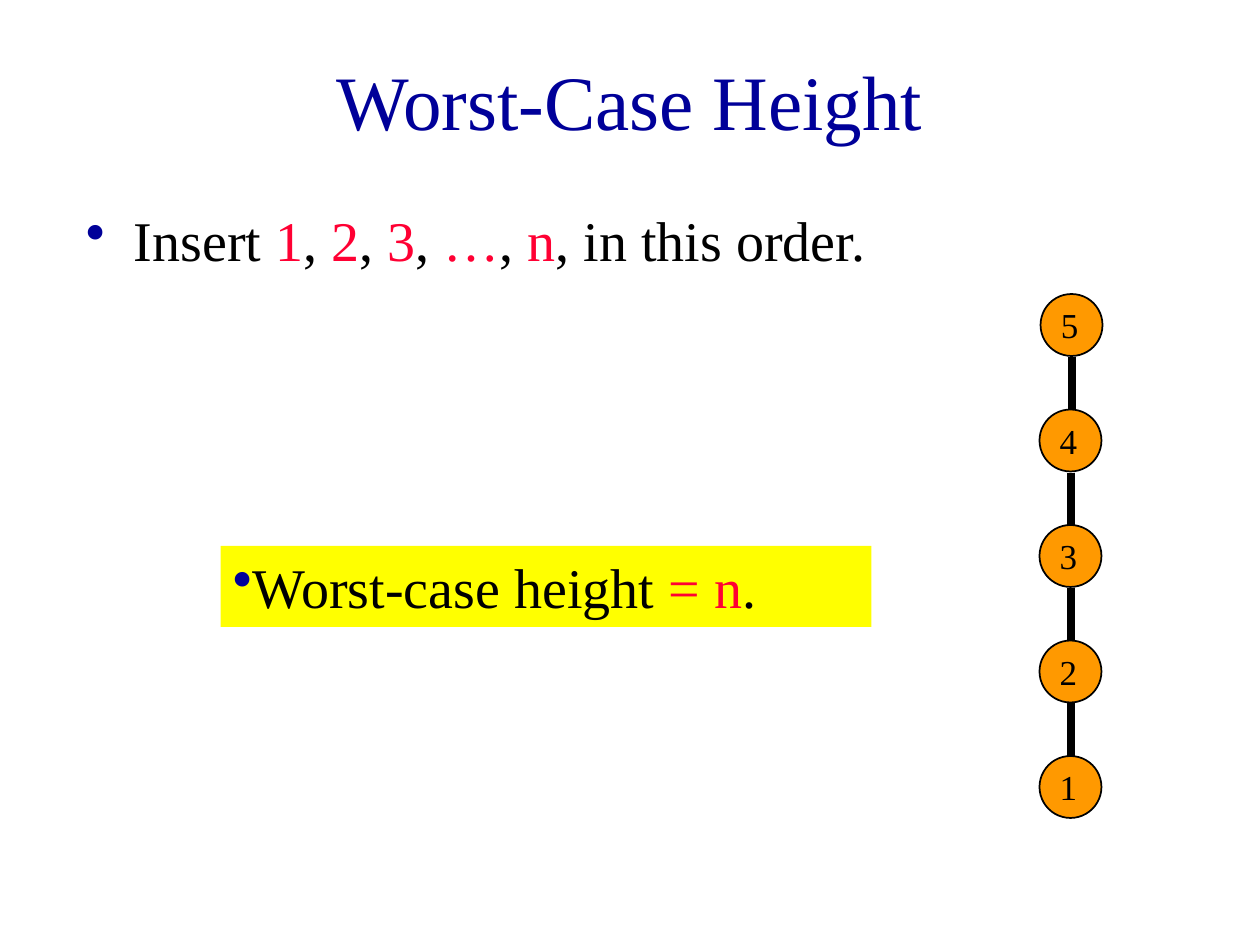
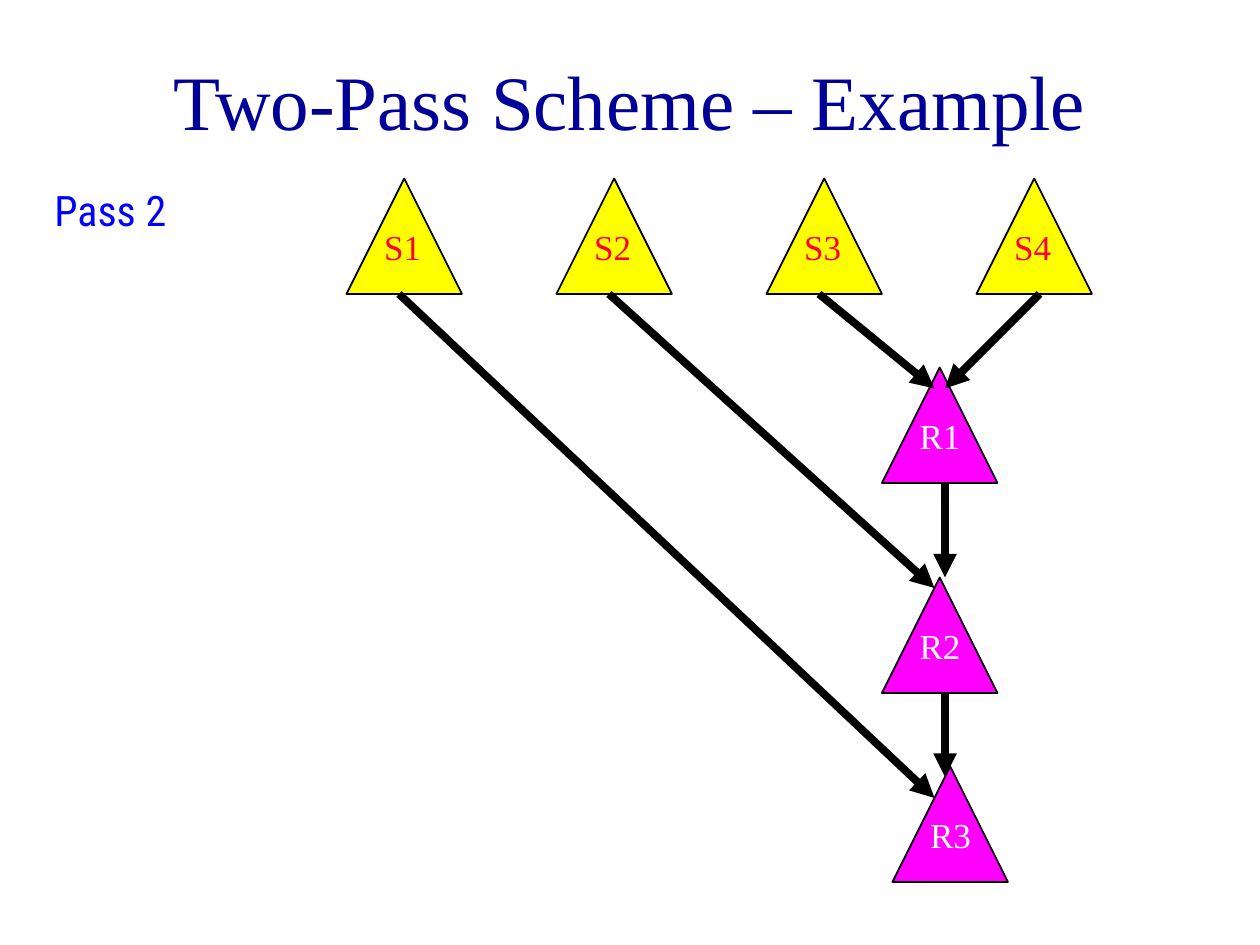
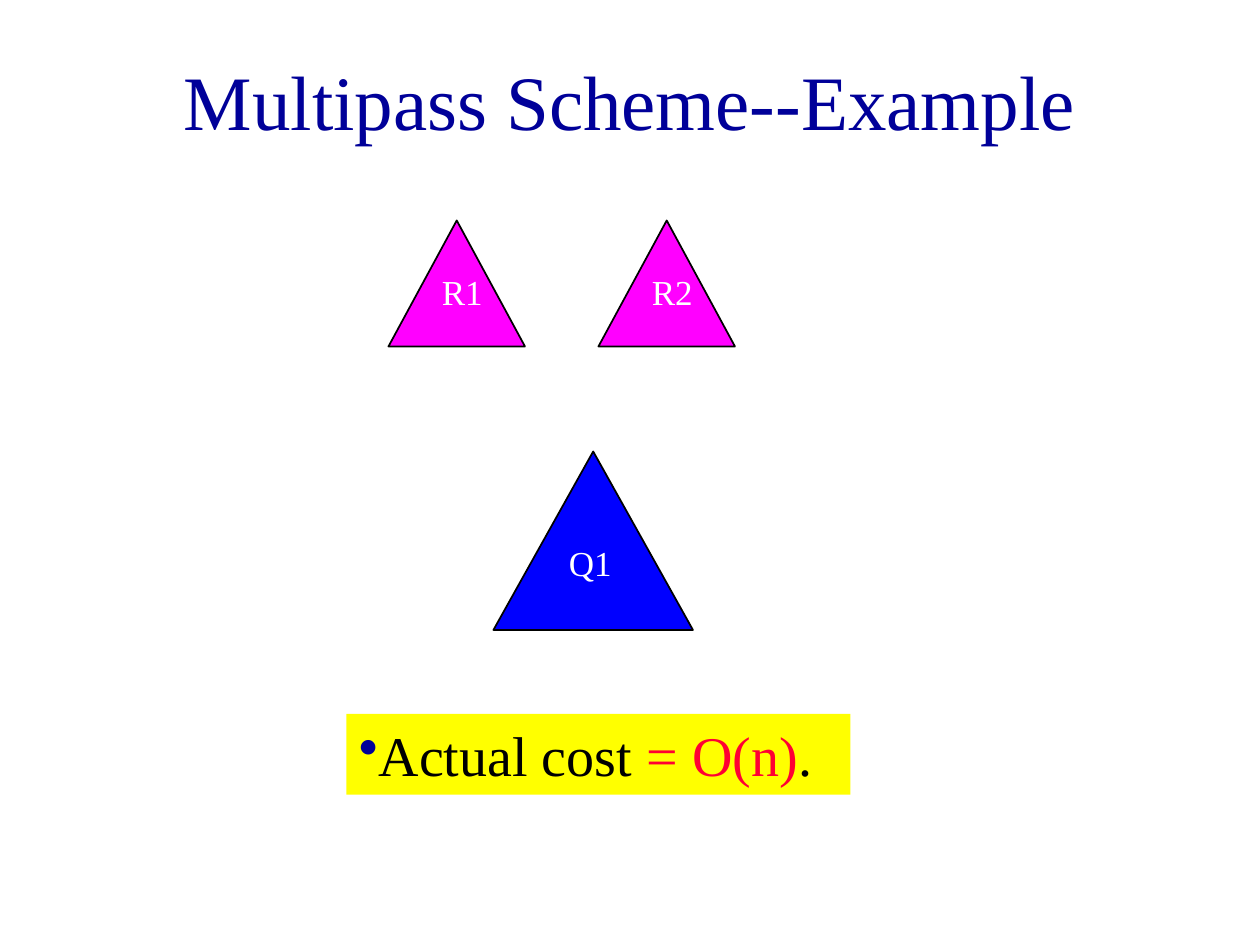
from dataclasses import dataclass

from lxml import etree
from pptx import Presentation
from pptx.dml.color import RGBColor
from pptx.enum.shapes import MSO_CONNECTOR, MSO_SHAPE
from pptx.enum.text import MSO_ANCHOR, MSO_AUTO_SIZE, PP_ALIGN
from pptx.oxml.ns import qn
from pptx.util import Emu, Inches, Pt

TRIANGLE, CIRCLE, BAND = MSO_SHAPE.ISOSCELES_TRIANGLE, MSO_SHAPE.OVAL, MSO_SHAPE.RECTANGLE
STRAIGHT = MSO_CONNECTOR.STRAIGHT
TOP, MIDDLE = MSO_ANCHOR.TOP, MSO_ANCHOR.MIDDLE
LEFT, CENTER = PP_ALIGN.LEFT, PP_ALIGN.CENTER
FIXED = MSO_AUTO_SIZE.NONE

SLIDE_W, SLIDE_H = Inches(10), Inches(7.5)
COLUMNS = 120  # square grid: 120 columns by 90 rows
TITLE_ONLY = 5


@dataclass(frozen=True)
class Theme:
    navy: str = "000099"
    blue: str = "0000FF"
    red: str = "FF0033"
    yellow: str = "FFFF00"
    magenta: str = "FF00FF"
    orange: str = "FF9900"
    black: str = "000000"
    white: str = "FFFFFF"
    serif: str = "Times New Roman"
    condensed: str = "Roboto Condensed"
    title_size: float = 44
    body_size: float = 32
    pass_size: float = 24
    label_size: float = 20
    outline: float = 1
    edge: float = 4.5


THEME = Theme()


@dataclass(frozen=True)
class Box:
    """A rectangle in grid units."""
    column: float
    row: float
    width: float
    height: float

    def inner(self, inset: "Box") -> "Box":
        return Box(self.column + inset.column, self.row + inset.row, inset.width, inset.height)


@dataclass(frozen=True)
class Run:
    text: str
    color: str = THEME.black
    size: float = THEME.body_size
    font: str = THEME.serif


@dataclass(frozen=True)
class Tree:
    """A triangle that stands for a tree, with its label inside."""
    label: str
    box: Box
    label_inset: Box
    fill: str = THEME.magenta
    color: str = THEME.white


@dataclass(frozen=True)
class Edge:
    start: tuple[float, float]
    end: tuple[float, float]
    arrow: bool = True


def grid(units: float) -> Emu:
    return Emu(round(SLIDE_W * units / COLUMNS))


def place(box: Box) -> tuple[Emu, Emu, Emu, Emu]:
    return grid(box.column), grid(box.row), grid(box.width), grid(box.height)


def rgb(color: str) -> RGBColor:
    return RGBColor.from_string(color)


def write(shape, runs: list[Run], align=LEFT, anchor=TOP, wrap: bool = True,
          bullet: bool = False, hanging: float = 0) -> None:
    frame = shape.text_frame
    frame.auto_size, frame.word_wrap, frame.vertical_anchor = FIXED, wrap, anchor
    paragraph = frame.paragraphs[0]
    paragraph.alignment = align
    if bullet:
        props = paragraph._p.get_or_add_pPr()
        props.set("marL", str(Inches(hanging)))
        props.set("indent", str(-Inches(hanging)))
        bullet_color = etree.SubElement(props, qn("a:buClr"))
        etree.SubElement(bullet_color, qn("a:srgbClr"), val=THEME.navy)
        etree.SubElement(props, qn("a:buChar"), char="•")
    for item in runs:
        run = paragraph.add_run()
        run.text = item.text
        run.font.name, run.font.size = item.font, Pt(item.size)
        run.font.color.rgb = rgb(item.color)


def add_text(slide, box: Box, runs: list[Run], **layout) -> None:
    write(slide.shapes.add_textbox(*place(box)), runs, **layout)


def add_figure(slide, kind, box: Box, fill: str, outlined: bool = True):
    figure = slide.shapes.add_shape(kind, *place(box))
    figure.shadow.inherit = False
    figure.fill.solid()
    figure.fill.fore_color.rgb = rgb(fill)
    if outlined:
        figure.line.color.rgb = rgb(THEME.black)
        figure.line.width = Pt(THEME.outline)
    else:
        figure.line.fill.background()
    return figure


def add_edge(slide, edge: Edge) -> None:
    line = slide.shapes.add_connector(STRAIGHT, *map(grid, edge.start + edge.end))
    line.line.color.rgb = rgb(THEME.black)
    line.line.width = Pt(THEME.edge)
    if edge.arrow:
        etree.SubElement(line.line._get_or_add_ln(), qn("a:tailEnd"), type="triangle")
    etree.SubElement(line._element.spPr, qn("a:effectLst"))


def add_tree(slide, tree: Tree) -> None:
    add_figure(slide, TRIANGLE, tree.box, tree.fill)
    add_text(slide, tree.box.inner(tree.label_inset),
             [Run(tree.label, tree.color, THEME.label_size)])


def add_result(slide, box: Box, claim: str, value: str) -> None:
    band = add_figure(slide, BAND, box, THEME.yellow, outlined=False)
    write(band, [Run(claim), Run(value, THEME.red), Run(".")], bullet=True)


def add_titled_slide(deck, title: str):
    slide = deck.slides.add_slide(deck.slide_layouts[TITLE_ONLY])
    heading = slide.shapes.title
    heading.left, heading.top, heading.width, heading.height = place(Box(9, 2, 102, 15))
    write(heading, [Run(title, THEME.navy, THEME.title_size)], align=CENTER, anchor=MIDDLE)
    return slide


def build_worst_case(deck) -> None:
    slide = add_titled_slide(deck, "Worst-Case Height")

    # Insertion order, with the keys in red
    order = [Run("Insert ")]
    for key in ("1", "2", "3", "…", "n"):
        order += [Run(key, THEME.red), Run(", ")]
    order[-1] = Run(", in this order.")
    add_text(slide, Box(7, 19, 102, 9), order, bullet=True, hanging=0.38)
    add_result(slide, Box(21, 52, 62, 7.7), "Worst-case height ", "= n")

    # Chain of nodes, from the root down
    root_row, step, diameter, last = 28, 11, 5.9, 1
    for depth, key in enumerate(range(5, 0, -1)):
        column = 99 if depth else 99.1
        node = Box(column, root_row + step * depth, diameter, diameter)
        add_figure(slide, CIRCLE, node, THEME.orange)
        add_text(slide, node.inner(Box(0.75, 0.35, 4.1, 5.15)),
                 [Run(str(key), size=THEME.label_size)], wrap=False)
        if key > last:
            add_edge(slide, Edge((column + 3, node.row + 6), (column + 3, node.row + step), False))


def build_two_pass(deck) -> None:
    slide = add_titled_slide(deck, "Two-Pass Scheme – Example")
    side, label_inset = 11, Box(2.4, 3.85, 8.5, 5.3)

    # Trees left by the first pass
    for index in range(4):
        add_tree(slide, Tree(f"S{index + 1}", Box(33 + 20 * index, 17, side, side),
                             label_inset, THEME.yellow, THEME.red))
    add_text(slide, Box(4, 17, 14.5, 7.5),
             [Run("Pass 2", THEME.blue, THEME.pass_size, THEME.condensed)], wrap=False)

    # Each meld result with the two trees that enter it
    melds = [
        ((84, 35), Edge((78, 28), (89, 37)), Edge((99, 28), (90, 37))),
        ((84, 55), Edge((58, 28), (89, 56)), Edge((90, 46), (90, 55))),
        ((85, 73), Edge((38, 28), (89, 76)), Edge((90, 66), (90, 74))),
    ]
    for number, (corner, *edges) in enumerate(melds, 1):
        add_tree(slide, Tree(f"R{number}", Box(*corner, side, side), label_inset))
        for edge in edges:
            add_edge(slide, edge)


def build_multipass(deck) -> None:
    slide = add_titled_slide(deck, "Multipass Scheme--Example")
    for index in range(2):
        add_tree(slide, Tree(f"R{index + 1}", Box(37 + 20 * index, 21, 13, 12),
                             Box(3.9, 4.2, 10.1, 5.3)))
    add_tree(slide, Tree("Q1", Box(47, 43, 19, 17), Box(6, 8, 10.1, 5.3), THEME.blue))
    add_result(slide, Box(33, 68, 48, 7.7), "Actual cost ", "= O(n)")


def main() -> None:
    deck = Presentation()
    deck.slide_width, deck.slide_height = SLIDE_W, SLIDE_H
    for build in (build_worst_case, build_two_pass, build_multipass):
        build(deck)
    deck.save("out.pptx")


if __name__ == "__main__":
    main()
